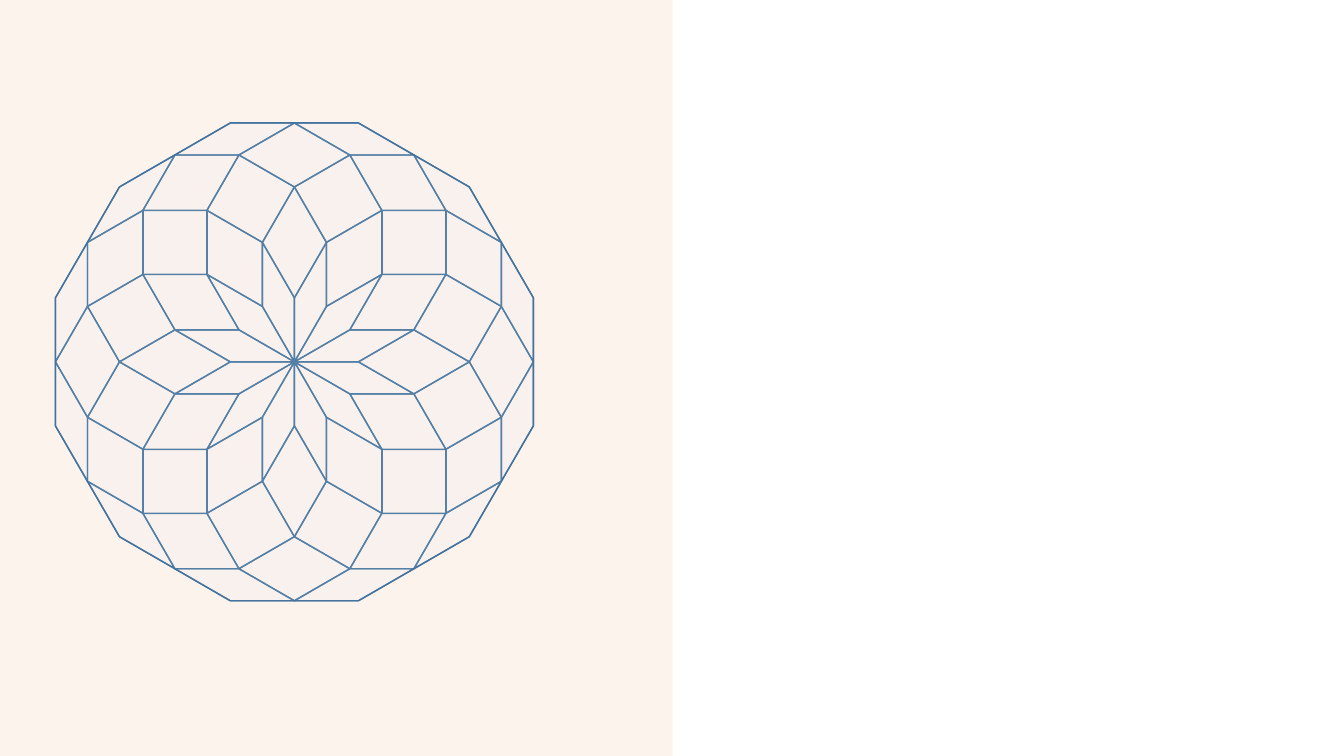
from math import cos, radians, sin, tan

from lxml import etree
from pptx import Presentation
from pptx.dml.color import RGBColor
from pptx.enum.shapes import MSO_CONNECTOR, MSO_SHAPE
from pptx.oxml.ns import qn
from pptx.util import Inches, Pt

RECT = MSO_SHAPE.RECTANGLE
STRAIGHT = MSO_CONNECTOR.STRAIGHT

WIDE, HIGH = 13.33, 7.5
PANEL = (0, 0, 6.67, HIGH)
ROSE = (0.55, 1.22, 4.74, 4.74)
ARMS, RINGS = 12, 5
STEP = 360 / ARMS

PEACH = {"color": "F4B183", "alpha": 14}
GLASS = {"color": "EEEEEE", "alpha": 10}
EDGE = {"color": "43739E", "width": Pt(1)}
RULE = {"color": "FBE5D6", "width": Pt(0.25)}


def hue(code):
    return RGBColor.from_string(code)


def fade(shape, alpha):
    """Set the opacity, in percent, of the first colour of a shape."""
    color = shape._element.spPr.find(".//" + qn("a:srgbClr"))
    etree.SubElement(color, qn("a:alpha")).set("val", str(alpha * 1000))


def tint(shape, look):
    shape.shadow.inherit = False
    shape.fill.solid()
    shape.fill.fore_color.rgb = hue(look["color"])
    fade(shape, look["alpha"])


def stroke(shape, look):
    line = shape.line
    line.fill.solid()
    for name, value in look.items():
        if name == "color":
            line.color.rgb = hue(value)
        else:
            setattr(line, name, value)


def add_panel(slide, box):
    left, top, width, height = box
    panel = slide.shapes.add_shape(RECT, *map(Inches, box))
    tint(panel, PEACH)
    panel.line.fill.background()

    # Thin rule along the right edge
    right = Inches(left + width)
    rule = slide.shapes.add_connector(
        STRAIGHT, right, Inches(top + height), right, Inches(top))
    stroke(rule, RULE)
    fade(rule, 50)
    etree.SubElement(rule._element.spPr, qn("a:effectLst"))


def add_tile(slide, points):
    spots = [(Inches(x), Inches(y)) for x, y in points]
    pen = slide.shapes.build_freeform(*spots[0])
    pen.add_line_segments(spots[1:], close=True)
    tile = pen.convert_to_shape()
    tint(tile, GLASS)
    stroke(tile, EDGE)


def add_rose(slide, box):
    left, top, width, height = box
    mid_x, mid_y = left + width / 2, top + height / 2
    side = width / 2 * tan(radians(STEP / 2))

    def node(arm, count):
        """Point reached by chaining count sides, each turned one step."""
        turns = [radians(STEP * (arm + i)) for i in range(count)]
        return (mid_x + side * sum(map(cos, turns)),
                mid_y - side * sum(map(sin, turns)))

    # Rings of rhombi, from the centre outward
    for ring in range(1, RINGS + 1):
        for arm in range(ARMS):
            add_tile(slide, [node(arm, ring), node(arm + 1, ring - 1),
                             node(arm + 1, ring), node(arm, ring + 1)])

    # Outline through the corners and the middles of its sides
    rim = []
    for arm in range(ARMS):
        rim += [node(arm, RINGS + 1), node(arm + 1, RINGS)]
    add_tile(slide, rim)


def main():
    deck = Presentation()
    deck.slide_width, deck.slide_height = Inches(WIDE), Inches(HIGH)
    slide = deck.slides.add_slide(deck.slide_layouts[6])
    add_panel(slide, PANEL)
    add_rose(slide, ROSE)
    deck.save("out.pptx")


if __name__ == "__main__":
    main()
